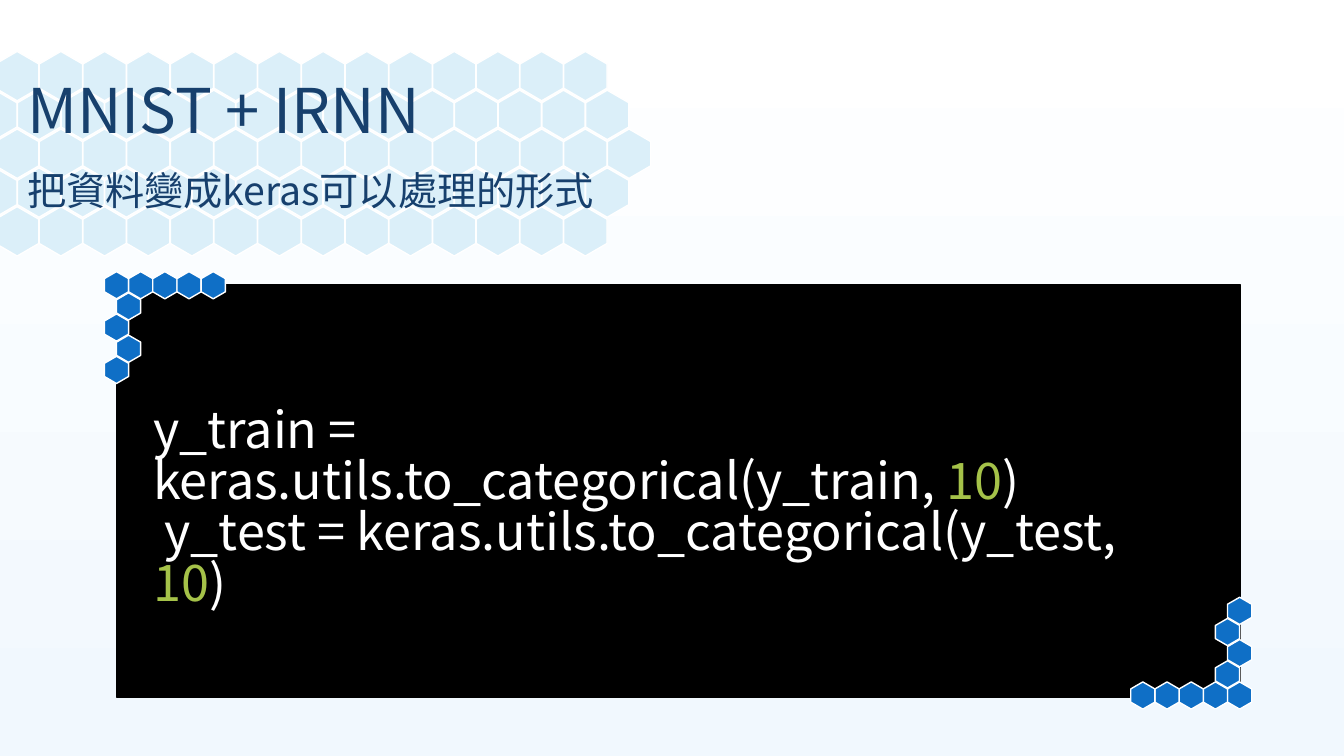
from lxml.etree import SubElement
from pptx import Presentation
from pptx.dml.color import RGBColor
from pptx.enum.shapes import MSO_SHAPE
from pptx.enum.text import MSO_ANCHOR
from pptx.oxml.ns import qn
from pptx.util import Inches, Pt

THEME = {
    "font": "Noto Sans CJK SC",
    "sky": "F1F8FE", "white": "FFFFFF", "black": "000000",
    "pale": "DBEFF9", "blue": "0F6FC6", "navy": "17406D", "green": "A5C249",
    "title": 44, "subtitle": 28, "code": 36, "line": 1,
}

presentation = Presentation()
presentation.slide_width = Inches(13.33)
presentation.slide_height = Inches(7.5)
slide = presentation.slides.add_slide(presentation.slide_layouts[6])

background = slide.background.fill
background.gradient()
background.gradient_angle = 270
for stop, position, color in zip(background.gradient_stops, (0, 1), ("white", "sky")):
    stop.position = position
    stop.color.rgb = RGBColor.from_string(THEME[color])


def add_block(kind, box, fill, line, rotation=0):
    shape = slide.shapes.add_shape(kind, *[Inches(length) for length in box])
    shape.shadow.inherit = False
    shape.rotation = rotation
    shape.fill.solid()
    shape.fill.fore_color.rgb = RGBColor.from_string(THEME[fill])
    shape.line.color.rgb = RGBColor.from_string(THEME[line])
    shape.line.width = Pt(THEME["line"])
    if kind == MSO_SHAPE.HEXAGON:
        shape.adjustments[0] = 0.29


def add_text(box, paragraphs, size, spacing, anchor):
    text_box = slide.shapes.add_textbox(*[Inches(length) for length in box])
    frame = text_box.text_frame
    frame.word_wrap = True
    frame.vertical_anchor = anchor
    for index, runs in enumerate(paragraphs):
        paragraph = frame.paragraphs[0] if index == 0 else frame.add_paragraph()
        paragraph.line_spacing = spacing
        for text, color in runs:
            run = paragraph.add_run()
            run.text = text
            for name, value in {"name": THEME["font"], "size": Pt(THEME[size])}.items():
                setattr(run.font, name, value)
            run.font.color.rgb = RGBColor.from_string(THEME[color])
            east_asian = SubElement(run.font._element, qn("a:ea"))
            east_asian.set("typeface", THEME["font"])


add_block(MSO_SHAPE.RECTANGLE, (1.16, 2.82, 11.14, 4.1), "black", "black")

corner_cells = [(column, 0) for column in range(5)]
corner_cells += [(row % 2 / 2, row) for row in range(1, 5)]
for left, top, direction, rotation in ((1.02, 2.71, 1, 90), (12.16, 6.78, -1, 270)):
    for column, row in corner_cells:
        box = (left + direction * 0.24 * column, top + direction * 0.21 * row, 0.27, 0.24)
        add_block(MSO_SHAPE.HEXAGON, box, "blue", "white", rotation)

column_step, row_step = 0.4335, 0.385
for row, count in enumerate((14, 15, 15, 15, 14)):
    left = -0.075 - row % 2 * column_step / 2
    for column in range(count):
        box = (left + column * column_step, 0.54 + row * row_step, 0.49, 0.43)
        add_block(MSO_SHAPE.HEXAGON, box, "pale", "white", 90)

add_text((0.17, 0.67, 6.04, 0.92), [[("MNIST + IRNN", "navy")]],
         "title", 0.9, MSO_ANCHOR.MIDDLE)
add_text((0.17, 1.59, 6.94, 0.64), [[("把資料變成keras可以處理的形式", "navy")]],
         "subtitle", 0.9, MSO_ANCHOR.MIDDLE)

code_lines = [
    [("y_train = keras.utils.to_categorical(y_train, ", "white"), ("10", "green"), (")", "white")],
    [(" y_test = keras.utils.to_categorical(y_test,", "white"), (" 10", "green"), (")", "white")],
]
add_text((1.42, 4, 10.08, 1.31), code_lines, "code", 0.84, MSO_ANCHOR.TOP)

presentation.save("out.pptx")
